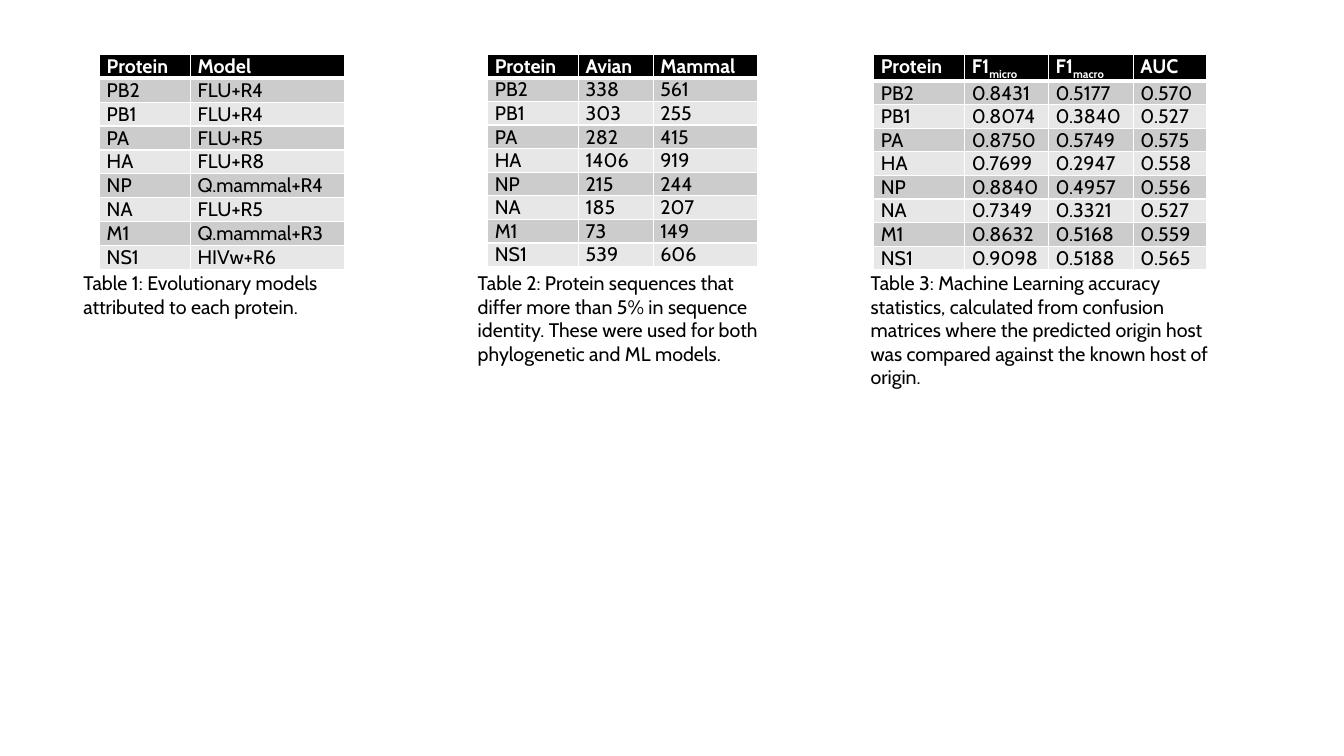
from lxml.etree import SubElement
from pptx import Presentation
from pptx.dml.color import RGBColor
from pptx.enum.text import MSO_AUTO_SIZE, PP_ALIGN
from pptx.oxml.ns import qn
from pptx.util import Cm, Pt

# Content: header cells are tuples of (text, subscript)
PROTEINS = ["PB2", "PB1", "PA", "HA", "NP", "NA", "M1", "NS1"]
PANELS = [
    {
        "left": 2.51,
        "widths": [2.29, 3.89],
        "header": [("Protein", ""), ("Model", "")],
        "columns": [
            PROTEINS,
            ["FLU+R4", "FLU+R4", "FLU+R5", "FLU+R8",
             "Q.mammal+R4", "FLU+R5", "Q.mammal+R3", "HIVw+R6"],
        ],
        "caption": "Table 1: Evolutionary models attributed to each protein.",
        "caption_box": (1.85, 7.49, 1.45),
    },
    {
        "left": 12.29,
        "widths": [2.29, 1.88, 2.64],
        "header": [("Protein", ""), ("Avian", ""), ("Mammal", "")],
        "columns": [
            PROTEINS,
            ["338", "303", "282", "1406", "215", "185", "73", "539"],
            ["561", "255", "415", "919", "244", "207", "149", "606"],
        ],
        "caption": "Table 2: Protein sequences that differ more than 5% in sequence "
                   "identity. These were used for both phylogenetic and ML models.",
        "caption_box": (11.79, 7.8, 2.65),
    },
    {
        "left": 22.02,
        "widths": [2.29, 2.11, 2.14, 1.85],
        "header": [("Protein", ""), ("F1", "micro"), ("F1", "macro"), ("AUC", "")],
        "columns": [
            PROTEINS,
            ["0.8431", "0.8074", "0.8750", "0.7699",
             "0.8840", "0.7349", "0.8632", "0.9098"],
            ["0.5177", "0.3840", "0.5749", "0.2947",
             "0.4957", "0.3321", "0.5168", "0.5188"],
            ["0.570", "0.527", "0.575", "0.558",
             "0.556", "0.527", "0.559", "0.565"],
        ],
        "caption": "Table 3: Machine Learning accuracy statistics, calculated from "
                   "confusion matrices where the predicted origin host was compared "
                   "against the known host of origin.",
        "caption_box": (21.69, 9.42, 3.25),
    },
]

COLORS = {"header": "000000", "odd": "CCCCCC", "even": "E7E7E7",
          "text": "000000", "header_text": "FFFFFF", "border": "FFFFFF"}
TABLE_TOP, CAPTION_TOP, ROW_HEIGHT = 1.37, 6.71, 0.59
INSET = 0.18


def add_run(paragraph, text, color, bold=False, subscript=False):
    run = paragraph.add_run()
    run.text = text
    run.font.name = "Cabin"
    run.font.size = Pt(14)
    run.font.bold = bold
    run.font.color.rgb = RGBColor.from_string(COLORS[color])
    if subscript:
        run._r.get_or_add_rPr().set("baseline", "-25000")


def add_borders(cell, row):
    properties = cell._tc.get_or_add_tcPr()
    thick_side = {0: "B", 1: "T"}.get(row)  # heavy rule under the header
    for side in "LRTB":
        points = 3 if side == thick_side else 1
        line = SubElement(properties, qn(f"a:ln{side}"), w=str(Pt(points)))
        fill = SubElement(line, qn("a:solidFill"))
        SubElement(fill, qn("a:srgbClr"), val=COLORS["border"])


def fill_cell(cell, row, text, subscript=""):
    is_header = row == 0
    cell.margin_left = cell.margin_right = Cm(INSET)
    cell.margin_top = cell.margin_bottom = 0
    add_borders(cell, row)
    cell.fill.solid()
    shade = "header" if is_header else "odd" if row % 2 else "even"
    cell.fill.fore_color.rgb = RGBColor.from_string(COLORS[shade])
    paragraph = cell.text_frame.paragraphs[0]
    paragraph.alignment = PP_ALIGN.JUSTIFY
    color = "header_text" if is_header else "text"
    add_run(paragraph, text, color, is_header)
    if subscript:
        add_run(paragraph, subscript, color, is_header, subscript=True)


def add_panel_table(slide, panel):
    widths = panel["widths"]
    row_count = len(PROTEINS) + 1
    table = slide.shapes.add_table(
        row_count, len(widths), Cm(panel["left"]), Cm(TABLE_TOP),
        Cm(sum(widths)), Cm(ROW_HEIGHT * row_count)).table
    for row in table.rows:
        row.height = Cm(ROW_HEIGHT)
    for col, width in enumerate(widths):
        table.columns[col].width = Cm(width)
        fill_cell(table.cell(0, col), 0, *panel["header"][col])
        for row, value in enumerate(panel["columns"][col], start=1):
            fill_cell(table.cell(row, col), row, value)


def add_caption(slide, panel):
    left, width, height = panel["caption_box"]
    caption = slide.shapes.add_textbox(
        Cm(left), Cm(CAPTION_TOP), Cm(width), Cm(height)).text_frame
    caption.word_wrap = True
    caption.auto_size = MSO_AUTO_SIZE.SHAPE_TO_FIT_TEXT
    add_run(caption.paragraphs[0], panel["caption"], "text")


def main():
    presentation = Presentation()
    presentation.slide_width, presentation.slide_height = Cm(33.87), Cm(19.05)
    slide = presentation.slides.add_slide(presentation.slide_layouts[6])
    # Tables with their captions below
    for panel in PANELS:
        add_panel_table(slide, panel)
        add_caption(slide, panel)
    presentation.save("out.pptx")


if __name__ == "__main__":
    main()
